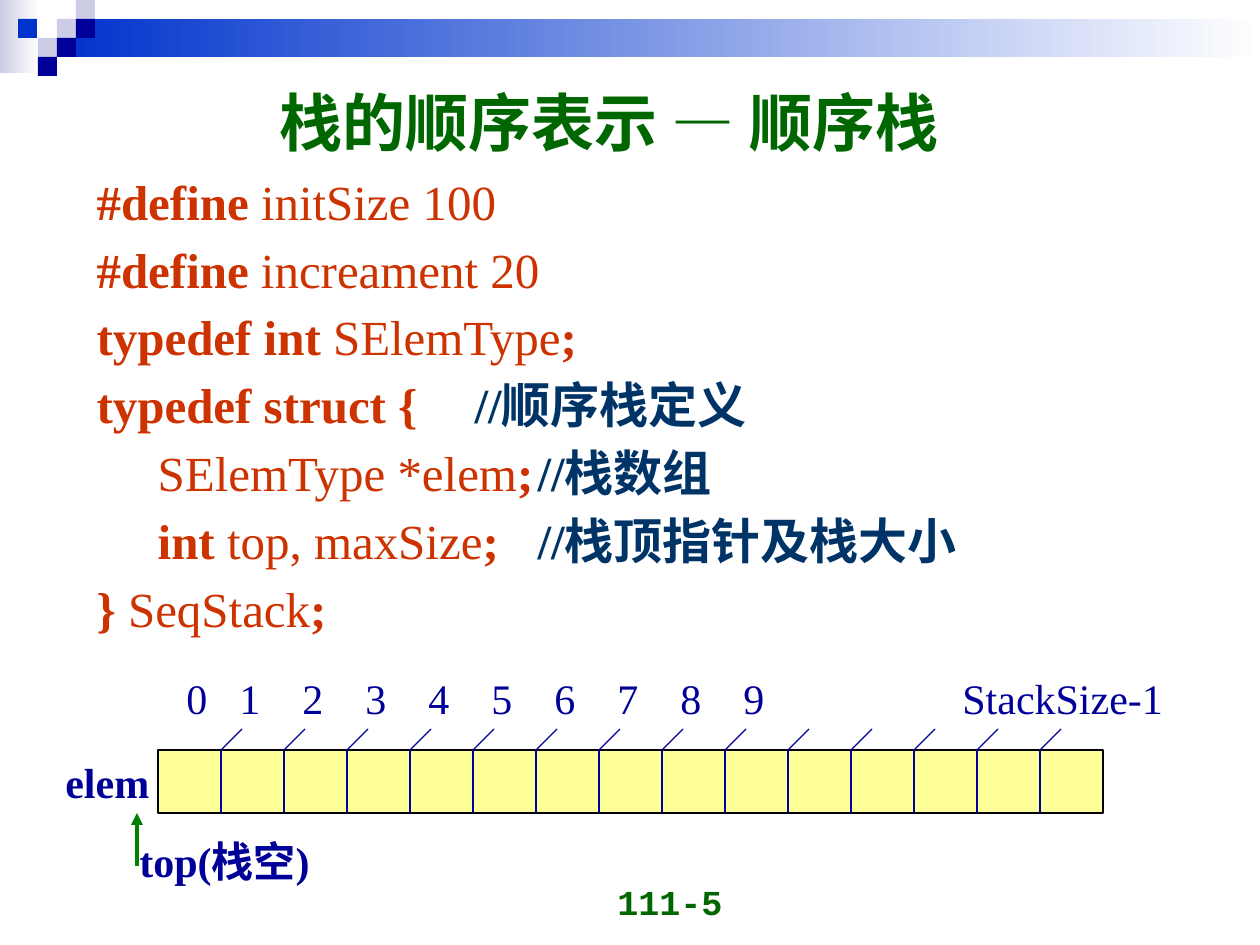
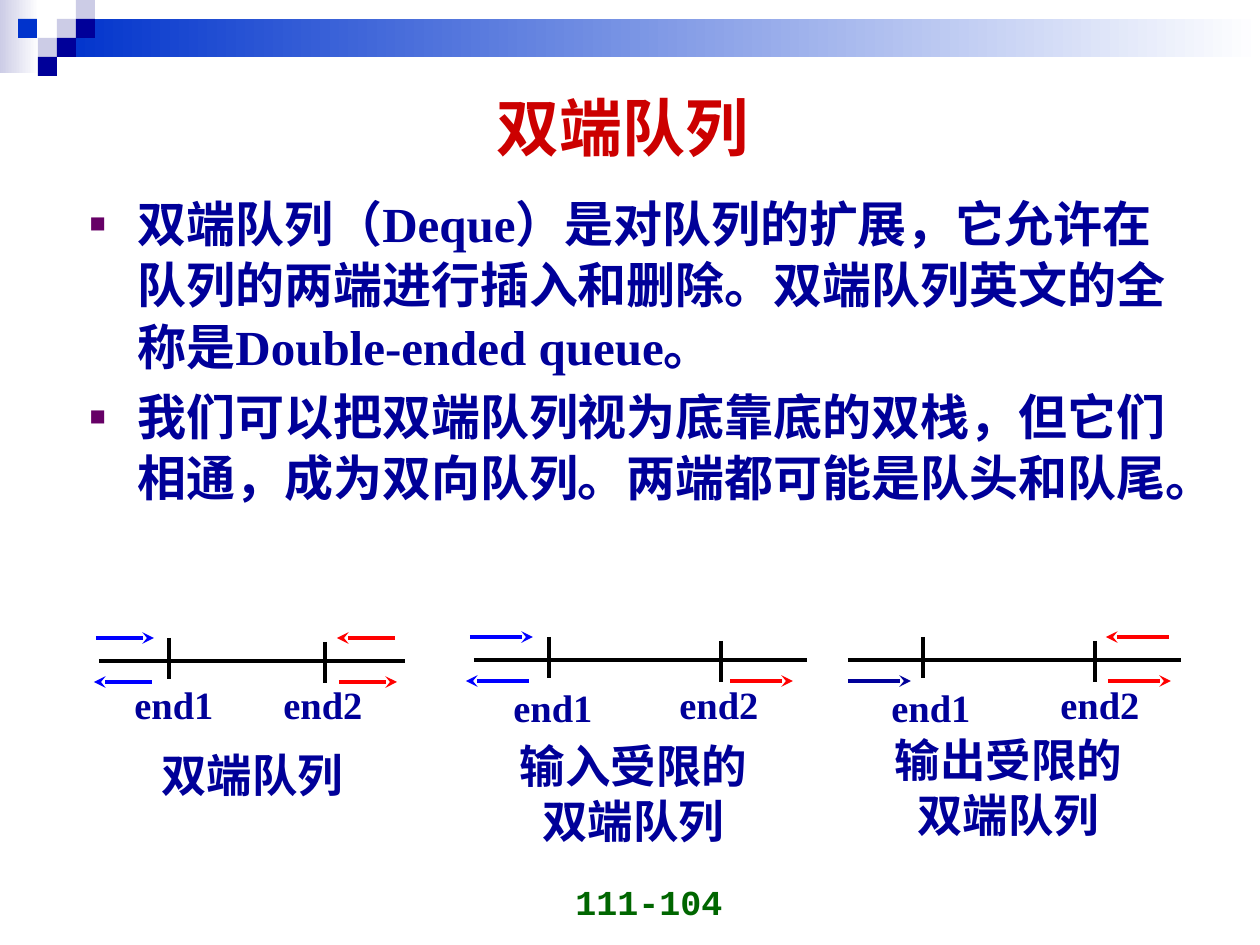
from lxml.etree import SubElement
from pptx import Presentation
from pptx.dml.color import RGBColor
from pptx.enum.shapes import MSO_CONNECTOR as CONN, MSO_SHAPE as SHAPE
from pptx.enum.text import MSO_ANCHOR as ANCHOR, MSO_AUTO_SIZE as FIT, PP_ALIGN as ALIGN
from pptx.oxml.ns import qn
from pptx.util import Pt

PX = 914400 / 126
C = {
    "navy": "000099", "blue": "0033CC", "lilac": "CCCCE6", "white": "FFFFFF",
    "green": "006600", "arrow_green": "008000", "crimson": "CC0000",
    "code": "CC3300", "comment": "003366", "cell": "FFFF99", "black": "000000",
    "red": "FF0000", "in_blue": "0000FF", "bullet": "660066",
}
SERIF, SANS, MONO, CJK = "Times New Roman", "Arial", "Courier New", "Noto Sans CJK SC"
SQUARE = 19  # side of a corner square
CELL = 63    # width and height of a stack cell


def px(*lengths):
    return [round(n * PX) for n in lengths]


def rgb(name):
    return RGBColor.from_string(C[name])


# ---- text ----
def add_run(p, text, size, color="navy", name=SERIF, bold=True):
    r = p.add_run()
    r.text = text
    for key, value in {"size": Pt(size), "bold": bold, "name": name}.items():
        setattr(r.font, key, value)
    r.font.color.rgb = rgb(color)
    SubElement(r.font._element, qn("a:ea"), typeface=CJK)


def next_paragraph(tf, first, **fmt):
    p = tf.paragraphs[0] if first else tf.add_paragraph()
    fmt.setdefault("space_before", Pt(0 if first else 5.2))
    for key, value in fmt.items():
        setattr(p, key, value)
    return p


def add_tabs(p, stops):
    tabs = SubElement(p._p.get_or_add_pPr(), qn("a:tabLst"))
    for stop in stops:
        SubElement(tabs, qn("a:tab"), pos=str(px(stop)[0]), algn="l")


def set_bullet(p, char):
    pPr = p._p.get_or_add_pPr()
    pPr.set("marL", str(px(48)[0]))
    pPr.set("indent", str(px(-48)[0]))
    SubElement(SubElement(pPr, qn("a:buClr")), qn("a:srgbClr"), val=C["bullet"])
    SubElement(pPr, qn("a:buSzPct"), val="55000")
    SubElement(pPr, qn("a:buFont"), typeface=SANS)
    SubElement(pPr, qn("a:buChar"), char=char)


def no_bullet(p):
    pPr = p._p.get_or_add_pPr()
    pPr.set("marL", "0")
    pPr.set("indent", "0")
    SubElement(pPr, qn("a:buNone"))


def place(sp, box):
    sp.left, sp.top, sp.width, sp.height = px(*box)
    tf = sp.text_frame
    tf.word_wrap = True
    tf.auto_size = FIT.NONE
    return tf


def add_text(s, box, lines, size, align=ALIGN.LEFT, anchor=ANCHOR.TOP, tabs=(), **font):
    tf = place(s.shapes.add_textbox(0, 0, 0, 0), box)
    tf.vertical_anchor = anchor
    for i, line in enumerate(lines):
        p = next_paragraph(tf, i == 0, alignment=align, space_before=Pt(0),
                           line_spacing=Pt(1.2 * size))
        if tabs:
            add_tabs(p, tabs)
        add_run(p, line, size, **font)


def set_title(s, box, text, **font):
    tf = place(s.shapes.title, box)
    tf.vertical_anchor = ANCHOR.MIDDLE
    p = next_paragraph(tf, True, alignment=ALIGN.CENTER)
    add_run(p, text, 36, **font)


def set_page(s, text):
    add_text(s, (441, 866, 294, 63), [text], 20, ALIGN.RIGHT, ANCHOR.BOTTOM,
             color="green", name=MONO)


# ---- shapes ----
def add_rect(s, box, *fills, outline=None):
    sp = s.shapes.add_shape(SHAPE.RECTANGLE, *px(*box))
    sp.shadow.inherit = False
    if len(fills) > 1:
        sp.fill.gradient()
        sp.fill.gradient_angle = 0
        for stop, name in zip(sp.fill.gradient_stops, fills):
            stop.color.rgb = rgb(name)
    else:
        sp.fill.solid()
        sp.fill.fore_color.rgb = rgb(fills[0])
    if outline:
        sp.line.color.rgb = rgb(outline)
        sp.line.width = Pt(0.75)
    else:
        sp.line.fill.background()
    return sp


def add_line(s, ends, color, width=2.25, arrow=None):
    cn = s.shapes.add_connector(CONN.STRAIGHT, *px(*ends))
    cn.line.color.rgb = rgb(color)
    cn.line.width = Pt(width)
    if arrow:
        SubElement(cn.line._get_or_add_ln(), qn("a:tailEnd"), type=arrow)
    SubElement(cn.element.spPr, qn("a:effectLst"))


def move_band_to_master(prs, s):
    """Draw the top band on s, then hand its parts to the slide master."""
    parts = [add_rect(s, (0, 0, 39, 73), "lilac", "white"),
             add_rect(s, (57, 19, 1203, 38), "blue", "white")]
    squares = [(57, 1, "lilac"), (76, 0, "lilac"), (76, 1, "navy"), (38, 2, "lilac"),
               (18, 1, "blue"), (57, 2, "navy"), (38, 3, "navy")]
    for x, row, color in squares:
        parts.append(add_rect(s, (x, row * SQUARE, SQUARE, SQUARE), color))
    for i, sp in enumerate(parts):
        sp.element.nvSpPr.cNvPr.set("id", str(100 + i))
        prs.slide_master.shapes.element.append(sp.element)


# ---- sequential stack ----
# Parts between bars alternate bold and regular; then comment and its tab stop
CODE = [
    ("#define |initSize 100", "", 0),
    ("#define| increament 20", "", 0),
    ("typedef int |SElemType|;", "", 0),
    ("typedef struct {", "//顺序栈定义", 600),
    ("     |SElemType *elem|;", "//栈数组", 600),
    ("     int |top, maxSize|;", "//栈顶指针及栈大小", 474),
    ("} |SeqStack|;", "", 0),
]


def fill_code(sp, box):
    tf = place(sp, box)
    for i, (code, comment, stop) in enumerate(CODE):
        p = next_paragraph(tf, i == 0, line_spacing=Pt(33.6))
        no_bullet(p)
        if comment:
            add_tabs(p, [stop])
        for j, part in enumerate(code.split("|")):
            add_run(p, part, 28, "code", bold=j % 2 == 0)
        if comment:
            add_run(p, "\t" + comment, 28, "comment")


def draw_stack(s, x, y, cells):
    add_rect(s, (x, y, cells * CELL, CELL), "cell", outline="black")
    for i in range(1, cells):
        cx = x + i * CELL
        add_line(s, (cx, y, cx, y + CELL), "navy", 0.75)
        add_line(s, (cx, y, cx + 21, y - 21), "navy", 0.75)
    # Index labels stand on tab stops
    labels = "\t".join([str(i) for i in range(10)] + ["StackSize-1"])
    stops = [53 + CELL * i for i in range(9)] + [776]
    add_text(s, (x + 16, y - 84, 1014, 63), [labels], 24, tabs=stops, bold=False)
    # Base and top pointers
    add_line(s, (x - 21, y + 116, x - 21, y + CELL), "arrow_green", arrow="triangle")
    add_text(s, (x - 31, y + 79, 240, 63), ["top(栈空)"], 24)
    add_text(s, (x - 105, y, 120, 63), ["elem"], 24)


def stack_slide(s):
    set_title(s, (189, 66, 840, 110), "栈的顺序表示 — 顺序栈", color="green")
    fill_code(s.placeholders[1], (84, 165, 1134, 655))
    draw_stack(s, 158, 750, 15)
    set_page(s, "111-5")


# ---- double-ended queue ----
POINTS = [
    "双端队列（Deque）是对队列的扩展，它允许在队列的两端进行插入和删除。"
    "双端队列英文的全称是Double-ended queue。",
    "我们可以把双端队列视为底靠底的双栈，但它们相通，成为双向队列。"
    "两端都可能是队头和队尾。",
]
UP, DOWN = -23, 21  # arrow rows above and below the axis
# x, y, axis length, tick xs, label (x, y)s, arrows (colour, from, to, row), caption (x, y, lines)
DEQUES = [
    (99, 661, 306, (70, 226), ((23, 14), (172, 14)),
     [("in_blue", -3, 55, UP), ("in_blue", 53, -5, DOWN),
      ("red", 296, 238, UP), ("red", 240, 298, DOWN)],
     (27, 80, ["双端队列"])),
    (474, 660, 333, (75, 247), ((27, 18), (193, 15)),
     [("in_blue", -4, 59, UP), ("in_blue", 55, -8, DOWN), ("red", 256, 319, DOWN)],
     (33, 72, ["输入受限的", "双端队列"])),
    (848, 660, 333, (75, 247), ((31, 18), (200, 15)),
     [("navy", 0, 63, DOWN), ("red", 321, 258, UP), ("red", 260, 323, DOWN)],
     (34, 66, ["输出受限的", "双端队列"])),
]


def fill_points(sp, box):
    tf = place(sp, box)
    for i, point in enumerate(POINTS):
        p = next_paragraph(tf, i == 0, line_spacing=Pt(35))
        set_bullet(p, "■")
        add_run(p, point, 28)


def draw_deque(s, x, y, length, ticks, labels, arrows, caption):
    add_line(s, (x, y, x + length, y), "black")
    for i, (tick, (lx, ly)) in enumerate(zip(ticks, labels)):
        top = y - 23 + 4 * i
        add_line(s, (x + tick, top, x + tick, top + 41), "black")
        add_text(s, (x + lx, y + ly, 120, 65), [f"end{i + 1}"], 22)
    for color, start, end, row in arrows:
        add_line(s, (x + start, y + row, x + end, y + row), color, arrow="stealth")
    cx, cy, lines = caption
    add_text(s, (x + cx, y + cy, 253, 122), lines, 26, ALIGN.CENTER, name=CJK)


def deque_slide(s):
    set_title(s, (63, 63, 1134, 127), "双端队列 ", color="crimson", name=SANS)
    fill_points(s.placeholders[1], (77, 185, 1134, 655))
    for deque in DEQUES:
        draw_deque(s, *deque)
    set_page(s, "111-104")


def main():
    prs = Presentation()
    prs.slide_width, prs.slide_height = px(1260, 945)
    layout = prs.slide_layouts[1]
    for i, build in enumerate((stack_slide, deque_slide)):
        s = prs.slides.add_slide(layout)
        if i == 0:
            move_band_to_master(prs, s)
        build(s)
    prs.save("out.pptx")


if __name__ == "__main__":
    main()
